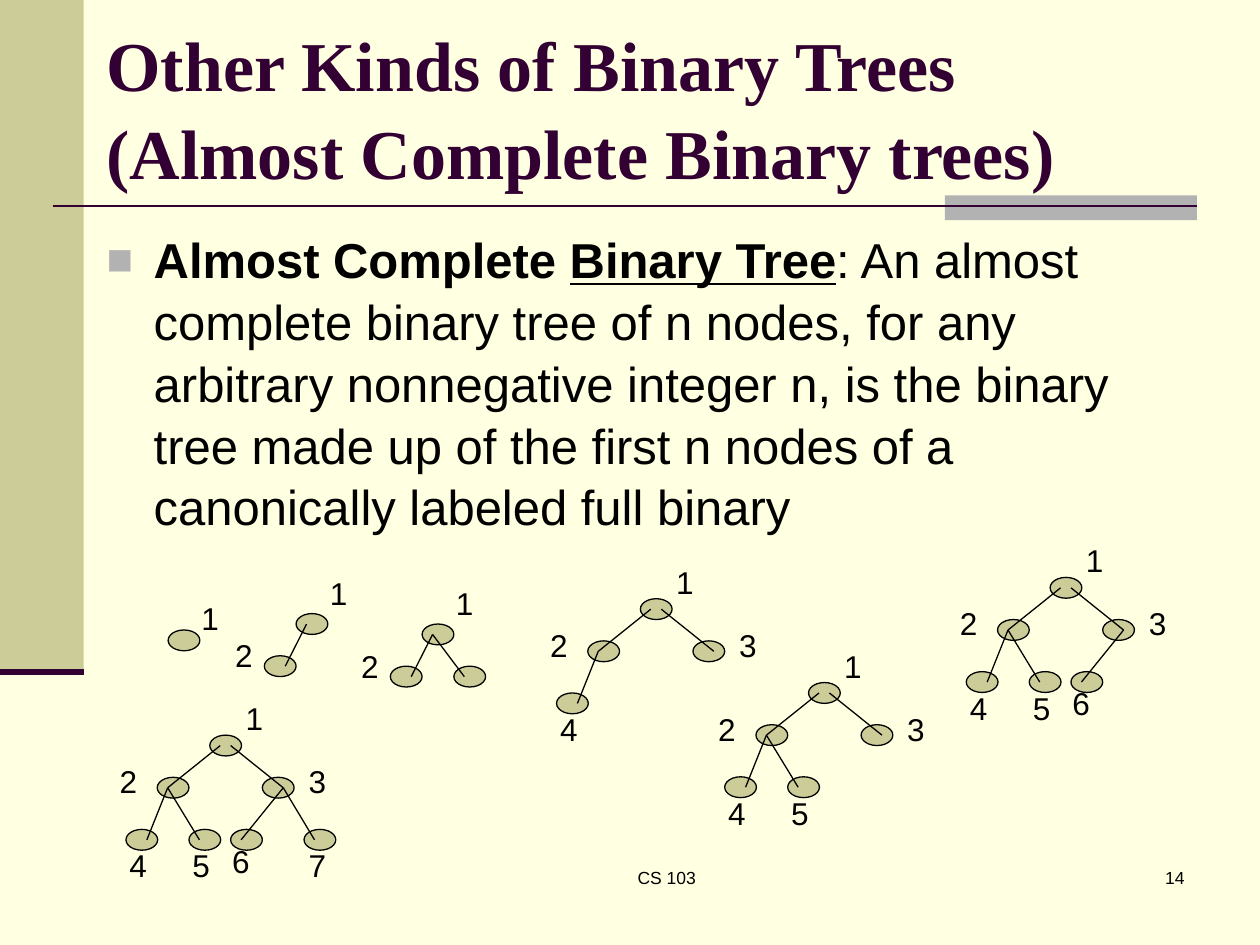
from typing import NamedTuple

from lxml.etree import SubElement
from pptx import Presentation
from pptx.dml.color import RGBColor
from pptx.enum.shapes import MSO_CONNECTOR as Link, MSO_SHAPE as Form
from pptx.enum.text import MSO_ANCHOR as Anchor, PP_ALIGN as Align
from pptx.oxml.ns import qn
from pptx.util import Cm, Pt

CREAM = RGBColor(0xFF, 0xFF, 0xE1)
SAGE = RGBColor(0xCC, 0xCC, 0x99)
GRAY = RGBColor(0xB2, 0xB2, 0xB2)
PLUM = RGBColor(0x33, 0x00, 0x33)
BLACK = RGBColor(0, 0, 0)

NODE_W, NODE_H = 0.64, 0.42
NEAR, FAR = 0.21, 0.42


class Run(NamedTuple):
    text: str
    bold: bool = False
    under: bool = False


class Node(NamedTuple):
    x: float
    y: float
    tag: str
    tag_x: float
    tag_y: float
    start: float = NEAR
    end: float = NEAR


class Tree(NamedTuple):
    x: float
    y: float
    nodes: list[Node]


LONE = [Node(0, 0, "1", 0.42, -0.74)]
SMALL = [
    Node(0, 0, "1", 0.43, -0.93),
    Node(-0.64, 0.85, "2", -1.48, 0.33, end=FAR),
    Node(0.64, 0.85, "", 0, 0),
]
FULL = [
    Node(0, 0, "1", 0.47, -0.85),
    Node(-1.06, 0.85, "2", -2.07, 0.42),
    Node(1.06, 0.85, "3", 1.74, 0.42, start=FAR, end=FAR),
    Node(-1.69, 1.9, "4", -1.87, 2.12, end=FAR),
    Node(-0.42, 1.9, "5", -0.6, 2.12),
    Node(0.42, 1.9, "6", 0.2, 2.03, start=FAR),
    Node(1.9, 1.9, "7", 1.74, 2.12, start=FAR),
]
TREES = [
    Tree(3.39, 12.7, LONE),
    Tree(5.97, 12.37, SMALL[:2]),
    Tree(8.51, 12.58, SMALL),
    Tree(12.91, 12.07, FULL[:4]),
    Tree(16.3, 13.76, FULL[:5]),
    Tree(21.17, 11.64, FULL[:6]),
    Tree(4.23, 14.82, FULL),
]


def add_text(slide, x: float, y: float, w: float, h: float, runs: list[Run], *,
             size: float = 18, font: str = "Arial", color: RGBColor = BLACK,
             align=Align.LEFT, anchor=Anchor.TOP, wrap: bool = True,
             lead: float = 1.0):
    frame = slide.shapes.add_textbox(Cm(x), Cm(y), Cm(w), Cm(h)).text_frame
    frame.word_wrap = wrap
    frame.vertical_anchor = anchor
    para = frame.paragraphs[0]
    para.alignment = align
    para.line_spacing = lead
    for i, part in enumerate(runs):
        for j, line in enumerate(part.text.split("\n")):
            if j:
                para.add_line_break()
            run = para.add_run()
            run.text = line
            face = run.font
            face.size, face.name = Pt(size), font
            face.bold, face.underline = part.bold, part.under
            face.color.rgb = color
    return para


def add_form(slide, form, x: float, y: float, w: float, h: float,
             fill: RGBColor, edge: RGBColor | None = None) -> None:
    shape = slide.shapes.add_shape(form, Cm(x), Cm(y), Cm(w), Cm(h))
    shape.shadow.inherit = False
    shape.fill.solid()
    shape.fill.fore_color.rgb = fill
    if edge is None:
        shape.line.fill.background()
    else:
        shape.line.color.rgb = edge
        shape.line.width = Pt(0.75)


def add_line(slide, x1: float, y1: float, x2: float, y2: float,
             color: RGBColor = BLACK, width: float = 0.75) -> None:
    line = slide.shapes.add_connector(Link.STRAIGHT, Cm(x1), Cm(y1), Cm(x2), Cm(y2))
    line.line.color.rgb = color
    line.line.width = Pt(width)
    SubElement(line._element.spPr, qn("a:effectLst"))


def add_bullet(para, mark: str, color: RGBColor, scale: int, indent: float) -> None:
    props = para._p.get_or_add_pPr()
    props.set("marL", str(Cm(indent)))
    props.set("indent", str(-Cm(indent)))
    tint = SubElement(props, qn("a:buClr"))
    SubElement(tint, qn("a:srgbClr"), val=str(color))
    SubElement(props, qn("a:buSzPct"), val=str(scale * 1000))
    SubElement(props, qn("a:buFont"), typeface="Arial")
    SubElement(props, qn("a:buChar"), char=mark)


def draw_tree(slide, tree: Tree) -> None:
    for node in tree.nodes:
        add_form(slide, Form.OVAL, tree.x + node.x, tree.y + node.y,
                 NODE_W, NODE_H, SAGE, BLACK)
    mid = tree.y + NODE_H / 2
    for i, node in enumerate(tree.nodes[1:], 2):
        top = tree.nodes[i // 2 - 1]
        pin = node.start if i < 4 else top.end
        add_line(slide, tree.x + top.x + pin, mid + top.y,
                 tree.x + node.x + node.end, mid + node.y)
    for node in tree.nodes:
        if node.tag:
            add_text(slide, tree.x + node.tag_x, tree.y + node.tag_y,
                     0.86, 1.02, [Run(node.tag)], wrap=False)


def main() -> None:
    deck = Presentation()
    deck.slide_width, deck.slide_height = Cm(25.4), Cm(19.05)
    slide = deck.slides.add_slide(deck.slide_layouts[6])
    slide.background.fill.solid()
    slide.background.fill.fore_color.rgb = CREAM

    add_form(slide, Form.RECTANGLE, 0, 0, 1.69, 13.55, SAGE)
    add_form(slide, Form.RECTANGLE, 19.05, 3.94, 5.08, 0.5, GRAY)
    add_line(slide, 1.06, 4.15, 24.13, 4.15, PLUM, 1.5)
    add_line(slide, 0, 13.55, 1.69, 13.55, PLUM, 3.5)

    add_text(slide, 9.31, 17.36, 8.26, 1.27, [Run("CS 103")],
             size=10, align=Align.CENTER)
    add_text(slide, 18.84, 17.36, 5.29, 1.27, [Run("14")],
             size=10, align=Align.RIGHT)
    title = "Other Kinds of Binary Trees\n(Almost Complete Binary trees)"
    add_text(slide, 1.9, 0.85, 21.59, 2.54, [Run(title, bold=True)], size=40,
             font="Times New Roman", color=PLUM, anchor=Anchor.MIDDLE, lead=1.05)
    body = add_text(slide, 1.9, 4.45, 21.59, 12.49, [
        Run("Almost Complete ", bold=True),
        Run("Binary Tree", bold=True, under=True),
        Run(": An almost complete binary tree of n nodes, for any arbitrary "
            "nonnegative integer n, is the binary tree made up of the first "
            "n nodes of a canonically labeled full binary"),
    ], size=28, lead=1.05)
    body.space_before = Pt(7)
    add_bullet(body, "■", GRAY, 90, 0.95)

    for tree in TREES:
        draw_tree(slide, tree)
    deck.save("out.pptx")


if __name__ == "__main__":
    main()
